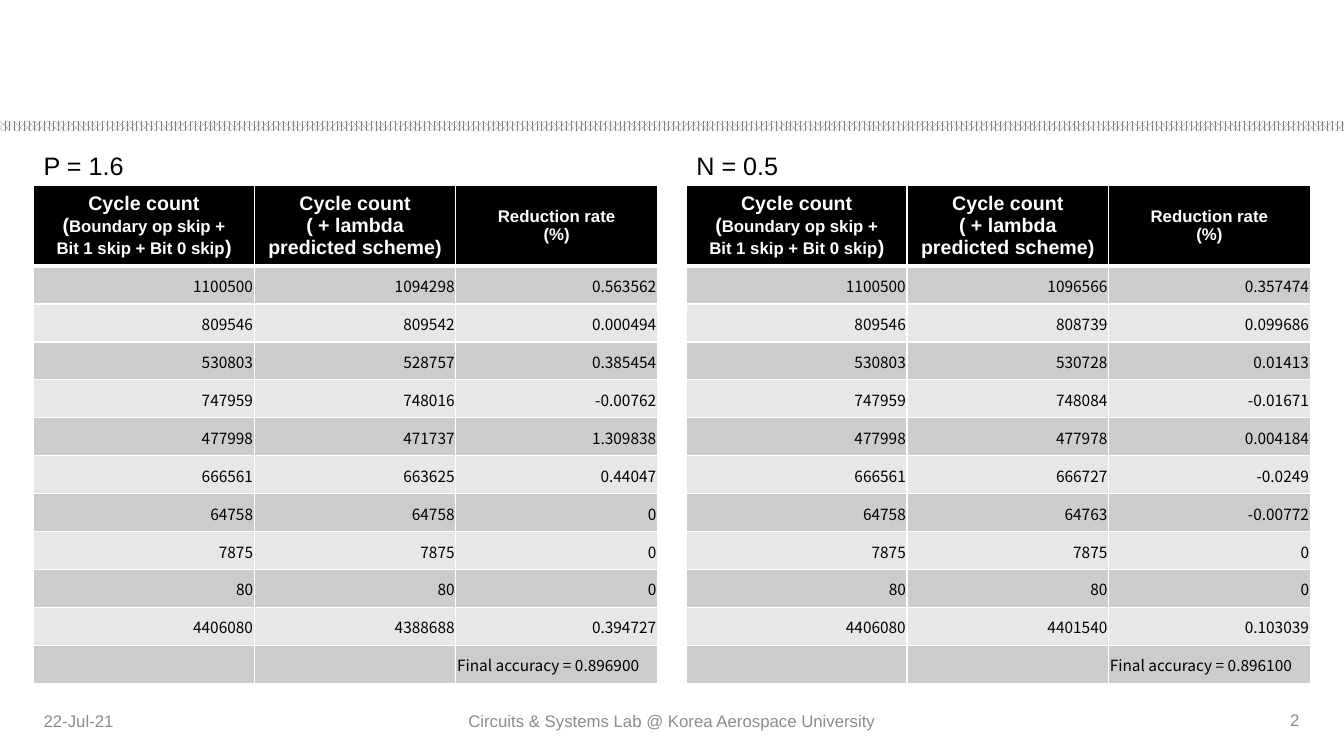
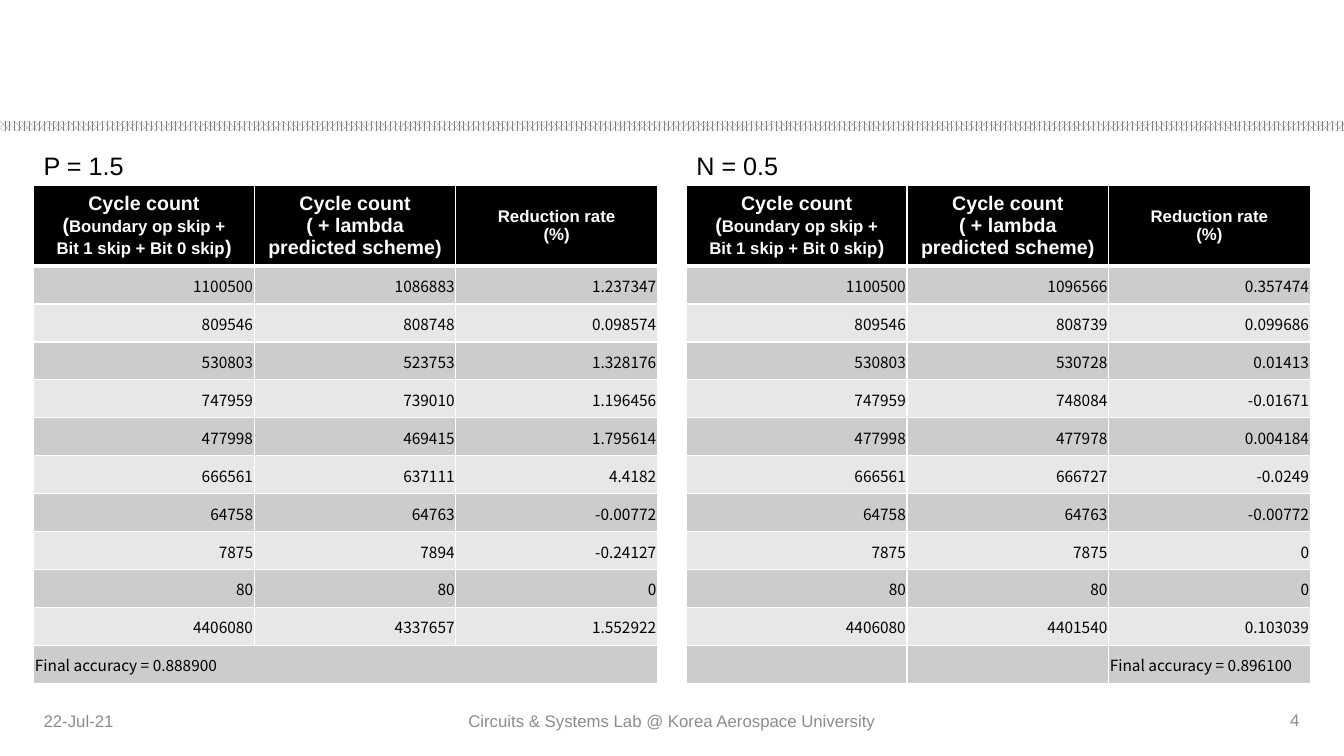
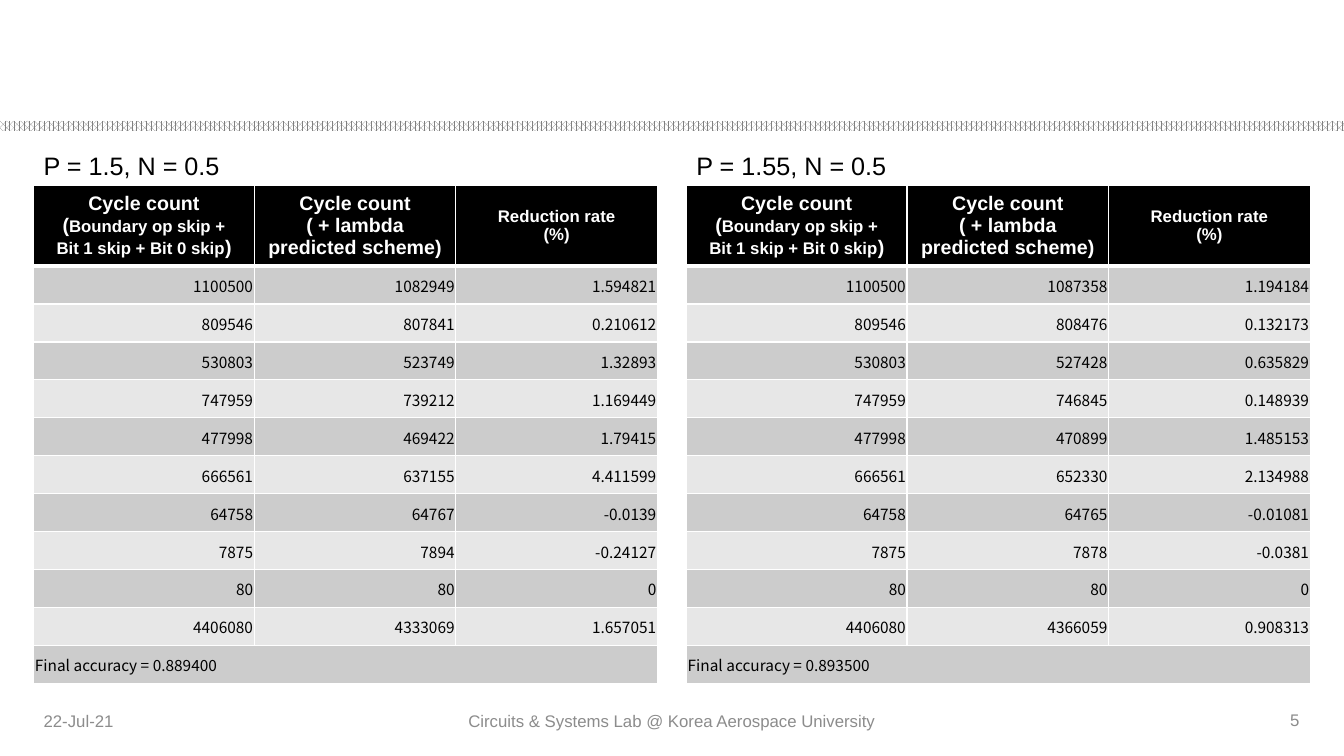
from lxml import etree
from pptx import Presentation
from pptx.dml.color import RGBColor
from pptx.enum.dml import MSO_PATTERN
from pptx.enum.shapes import MSO_SHAPE
from pptx.enum.text import MSO_ANCHOR, PP_ALIGN
from pptx.oxml.ns import qn
from pptx.util import Cm, Pt

LEFT, CENTER, RIGHT = PP_ALIGN.LEFT, PP_ALIGN.CENTER, PP_ALIGN.RIGHT
TOP, MIDDLE = MSO_ANCHOR.TOP, MSO_ANCHOR.MIDDLE
RECT, PATTERN = MSO_SHAPE.RECTANGLE, MSO_PATTERN.PERCENT_70

COLORS = {"black": "000000", "white": "FFFFFF", "band": "808080",
          "footer": "8C8C8C", "dark_row": "CCCCCC", "light_row": "E7E7E7"}
RGB = {name: RGBColor.from_string(value) for name, value in COLORS.items()}

# Text formats
HEAD = {"name": "Arial", "size": Pt(14), "bold": True, "color": "white"}
HEAD_SMALL = {**HEAD, "size": Pt(12)}
BODY = {"name": "Noto Sans CJK KR", "size": Pt(11), "bold": False, "color": "black"}
LABEL = {"name": "Arial", "size": Pt(18), "color": "black"}
FOOTER = {"name": "Arial", "size": Pt(12), "color": "footer"}

# Table layout
TABLE_LEFTS = (0.85, 17.3)
TABLE_TOP = 4.67
COLUMNS = (5.56, 5.08, 5.08)
TABLE_WIDTH = sum(COLUMNS)
BODY_HEIGHT = 10.52
MARGINS = {"margin_left": Cm(0.03), "margin_right": Cm(0.03),
           "margin_top": Cm(0.03), "margin_bottom": 0}

# Each header cell is a list of paragraphs made of (text, format) runs
HEADERS = [
    [[("Cycle count", HEAD)],
     [("(", HEAD), ("Boundary op skip +", HEAD_SMALL)],
     [("Bit 1 skip + Bit 0 skip", HEAD_SMALL), (")", HEAD)]],
    [[("Cycle count", HEAD)], [("( + lambda predicted scheme)", HEAD)]],
    [[("Reduction rate", HEAD_SMALL)], [("(%)", HEAD_SMALL)]],
]

# Cycle counts; the last value of each list is the total
BASE = [1100500, 809546, 530803, 747959, 477998, 666561, 64758, 7875, 80, 4406080]
N_05 = [1096566, 808739, 530728, 748084, 477978, 666727, 64763, 7875, 80, 4401540]
P_16 = [1094298, 809542, 528757, 748016, 471737, 663625, 64758, 7875, 80, 4388688]
P_15 = [1086883, 808748, 523753, 739010, 469415, 637111, 64763, 7894, 80, 4337657]
P_15_N_05 = [1082949, 807841, 523749, 739212, 469422, 637155, 64767, 7894, 80, 4333069]
P_155_N_05 = [1087358, 808476, 527428, 746845, 470899, 652330, 64765, 7878, 80, 4366059]

# Page number, header height, then (label, counts, accuracy, accuracy row merged)
SLIDES = [
    ("2", 1.9, [("P = 1.6", P_16, "0.896900", False),
                ("N = 0.5", N_05, "0.896100", False)]),
    ("4", 2.0, [("P = 1.5", P_15, "0.888900", True),
                ("N = 0.5", N_05, "0.896100", False)]),
    ("5", 2.0, [("P = 1.5, N = 0.5", P_15_N_05, "0.889400", True),
                ("P = 1.55, N = 0.5", P_155_N_05, "0.893500", True)]),
]


def write(tf, paragraphs, align, anchor):
    tf.word_wrap = True
    tf.vertical_anchor = anchor
    for i, runs in enumerate(paragraphs):
        p = tf.paragraphs[0] if i == 0 else tf.add_paragraph()
        p.alignment = align
        for text, fmt in runs:
            r = p.add_run()
            r.text = text
            for key, value in fmt.items():
                if key == "color":
                    r.font.color.rgb = RGB[value]
                else:
                    setattr(r.font, key, value)


def style_cell(cell, color, bottom=1):
    tcPr = cell._tc.get_or_add_tcPr()
    for side, width in (("L", 1), ("R", 1), ("T", 1), ("B", bottom)):
        ln = etree.SubElement(tcPr, qn("a:ln" + side), w=str(Pt(width)))
        fill = etree.SubElement(ln, qn("a:solidFill"))
        etree.SubElement(fill, qn("a:srgbClr"), val=COLORS["white"])
    cell.fill.solid()
    cell.fill.fore_color.rgb = RGB[color]


prs = Presentation()
prs.slide_width, prs.slide_height = Cm(33.87), Cm(19.05)

for page, header_height, panels in SLIDES:
    s = prs.slides.add_slide(prs.slide_layouts[6])

    # Patterned band
    sp = s.shapes.add_shape(RECT, 0, Cm(3.05), prs.slide_width, Cm(0.25))
    sp.shadow.inherit = False
    sp.line.fill.background()
    sp.fill.patterned()
    sp.fill.pattern = PATTERN
    sp.fill.fore_color.rgb = RGB["band"]
    sp.fill.back_color.rgb = RGB["white"]

    # Labels and footer
    texts = [(left, 3.66, TABLE_WIDTH, panel[0], LABEL, LEFT, TOP)
             for left, panel in zip(TABLE_LEFTS, panels)]
    texts += [
        (0.85, 17.65, 7.62, "22-Jul-21", FOOTER, LEFT, MIDDLE),
        (11.22, 17.65, 11.43, "Circuits & Systems Lab @ Korea Aerospace University",
         FOOTER, CENTER, MIDDLE),
        (25.28, 17.63, 7.72, page, FOOTER, RIGHT, MIDDLE),
    ]
    for left, top, width, text, fmt, align, anchor in texts:
        box = s.shapes.add_textbox(Cm(left), Cm(top), Cm(width), Cm(1.02))
        write(box.text_frame, [[(text, fmt)]], align, anchor)

    # Tables
    for left, (label, counts, accuracy, merged) in zip(TABLE_LEFTS, panels):
        rows = []
        for base, count in zip(BASE, counts):
            rate = (base - count) / base * 100
            digits = 5 if rate < 0 else 6
            rows.append([str(base), str(count),
                         f"{rate:.{digits}f}".rstrip("0").rstrip(".")])
        final = "Final accuracy = " + accuracy
        rows.append([final, "", ""] if merged else ["", "", final])

        table = s.shapes.add_table(len(rows) + 1, len(COLUMNS), Cm(left), Cm(TABLE_TOP),
                                   Cm(TABLE_WIDTH), Cm(header_height + BODY_HEIGHT)).table
        table.first_row = table.horz_banding = False
        for column, width in zip(table.columns, COLUMNS):
            column.width = Cm(width)
        for row in table.rows:
            row.height = int(Cm(BODY_HEIGHT) / len(rows))
        table.rows[0].height = Cm(header_height)

        for c, paragraphs in enumerate(HEADERS):
            cell = table.cell(0, c)
            style_cell(cell, "black", bottom=3)
            cell.vertical_anchor = MIDDLE
            write(cell.text_frame, paragraphs, CENTER, MIDDLE)

        for i, values in enumerate(rows, 1):
            for c, value in enumerate(values):
                cell = table.cell(i, c)
                style_cell(cell, "dark_row" if i % 2 else "light_row")
                cell.vertical_anchor = MIDDLE
                for key, margin in MARGINS.items():
                    setattr(cell, key, margin)
                if value:
                    align = LEFT if value == final else RIGHT
                    write(cell.text_frame, [[(value, BODY)]], align, MIDDLE)
                else:
                    # Keeps an empty cell from stretching its row
                    etree.SubElement(cell.text_frame.paragraphs[0]._p,
                                     qn("a:endParaRPr"), sz="1100")
        if merged:
            table.cell(len(rows), 0).merge(table.cell(len(rows), 2))

prs.save("out.pptx")
